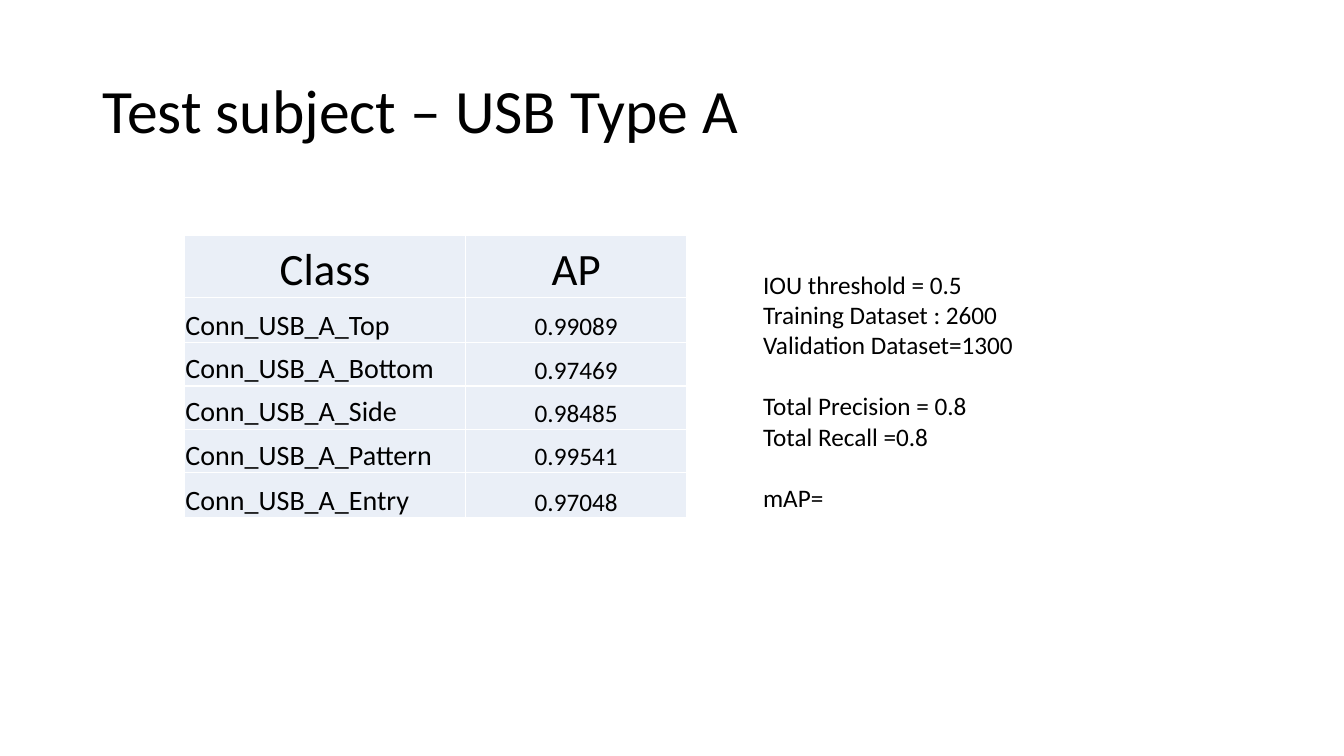
from pptx import Presentation
from pptx.dml.color import RGBColor
from pptx.enum.text import MSO_ANCHOR, PP_ALIGN
from pptx.oxml import parse_xml
from pptx.oxml.ns import nsdecls
from pptx.util import Inches, Pt

LEFT, CENTER = PP_ALIGN.LEFT, PP_ALIGN.CENTER
TOP, MIDDLE, BOTTOM = MSO_ANCHOR.TOP, MSO_ANCHOR.MIDDLE, MSO_ANCHOR.BOTTOM
BLACK = RGBColor(0x00, 0x00, 0x00)
CELL_FILL = RGBColor(0xEA, 0xEF, 0xF7)
BORDER = RGBColor(0xFF, 0xFF, 0xFF)
FONT = "Calibri"

TITLE = "Test subject – USB Type A"
AP_ROWS = [
    ("Class", "AP"),
    ("Conn_USB_A_Top", "0.99089"),
    ("Conn_USB_A_Bottom", "0.97469"),
    ("Conn_USB_A_Side", "0.98485"),
    ("Conn_USB_A_Pattern", "0.99541"),
    ("Conn_USB_A_Entry", "0.97048"),
]
COL_WIDTHS = [2.79, 2.19]
ROW_HEIGHTS = [0.61, 0.45, 0.43, 0.43, 0.43, 0.45]
HEADER_STYLE = [(32, CENTER), (32, CENTER)]
BODY_STYLE = [(20, LEFT), (18, CENTER)]
NOTE_GROUPS = [
    ["IOU threshold = 0.5", "Training Dataset : 2600", "Validation Dataset=1300"],
    ["Total Precision = 0.8", "Total Recall =0.8"],
    ["mAP="],
]
GROUP_GAP = 22


def add_run(p, text, size):
    """Add one run in the slide's font."""
    r = p.add_run()
    r.text = text
    r.font.name, r.font.size = FONT, Pt(size)
    r.font.color.rgb = BLACK


def add_text_frame(s, box, anchor, wrap):
    """Add a text box and return its text frame."""
    tf = s.shapes.add_textbox(*map(Inches, box)).text_frame
    tf.word_wrap, tf.vertical_anchor = wrap, anchor
    return tf


def add_borders(cell):
    """Draw a 1 pt line on each side of a cell, ahead of its fill."""
    tc_pr = cell._tc.get_or_add_tcPr()
    for i, side in enumerate(("lnL", "lnR", "lnT", "lnB")):
        tc_pr.insert(i, parse_xml(
            f'<a:{side} {nsdecls("a")} w="{Pt(1)}"><a:solidFill>'
            f'<a:srgbClr val="{BORDER}"/></a:solidFill></a:{side}>'))


def fill_cell(cell, text, size, align):
    """Set the text, margins, fill and borders of a cell."""
    cell.margin_left = cell.margin_right = cell.margin_top = Inches(0.01)
    cell.margin_bottom = 0
    cell.vertical_anchor = BOTTOM
    p = cell.text_frame.paragraphs[0]
    p.alignment = align
    add_run(p, text, size)
    cell.fill.solid()
    cell.fill.fore_color.rgb = CELL_FILL
    add_borders(cell)


def add_ap_table(s, left, top):
    """Add the table of average precision by class."""
    table = s.shapes.add_table(
        len(AP_ROWS), len(COL_WIDTHS), Inches(left), Inches(top),
        Inches(sum(COL_WIDTHS)), Inches(sum(ROW_HEIGHTS))).table
    table.horz_banding = table.first_row = False
    for column, width in zip(table.columns, COL_WIDTHS):
        column.width = Inches(width)
    for i, (row, height, texts) in enumerate(zip(table.rows, ROW_HEIGHTS, AP_ROWS)):
        row.height = Inches(height)
        styles = BODY_STYLE if i else HEADER_STYLE
        for cell, text, (size, align) in zip(row.cells, texts, styles):
            fill_cell(cell, text, size, align)


def add_notes_box(s, box):
    """Add the test settings, with a gap before each later group."""
    tf = add_text_frame(s, box, TOP, False)
    p = tf.paragraphs[0]
    for g, group in enumerate(NOTE_GROUPS):
        for i, line in enumerate(group):
            if g or i:
                p = tf.add_paragraph()
            if g and not i:
                p.space_before = Pt(GROUP_GAP)
            add_run(p, line, 18)


prs = Presentation()
prs.slide_width, prs.slide_height = Inches(13.33), Inches(7.5)
s = prs.slides.add_slide(prs.slide_layouts[6])

title = add_text_frame(s, (0.92, 0.4, 11.5, 1.45), MIDDLE, True).paragraphs[0]
title.line_spacing = 0.9
add_run(title, TITLE, 44)
add_ap_table(s, 1.83, 2.34)
add_notes_box(s, (7.47, 2.62, 2.71, 2.52))

prs.save("out.pptx")
